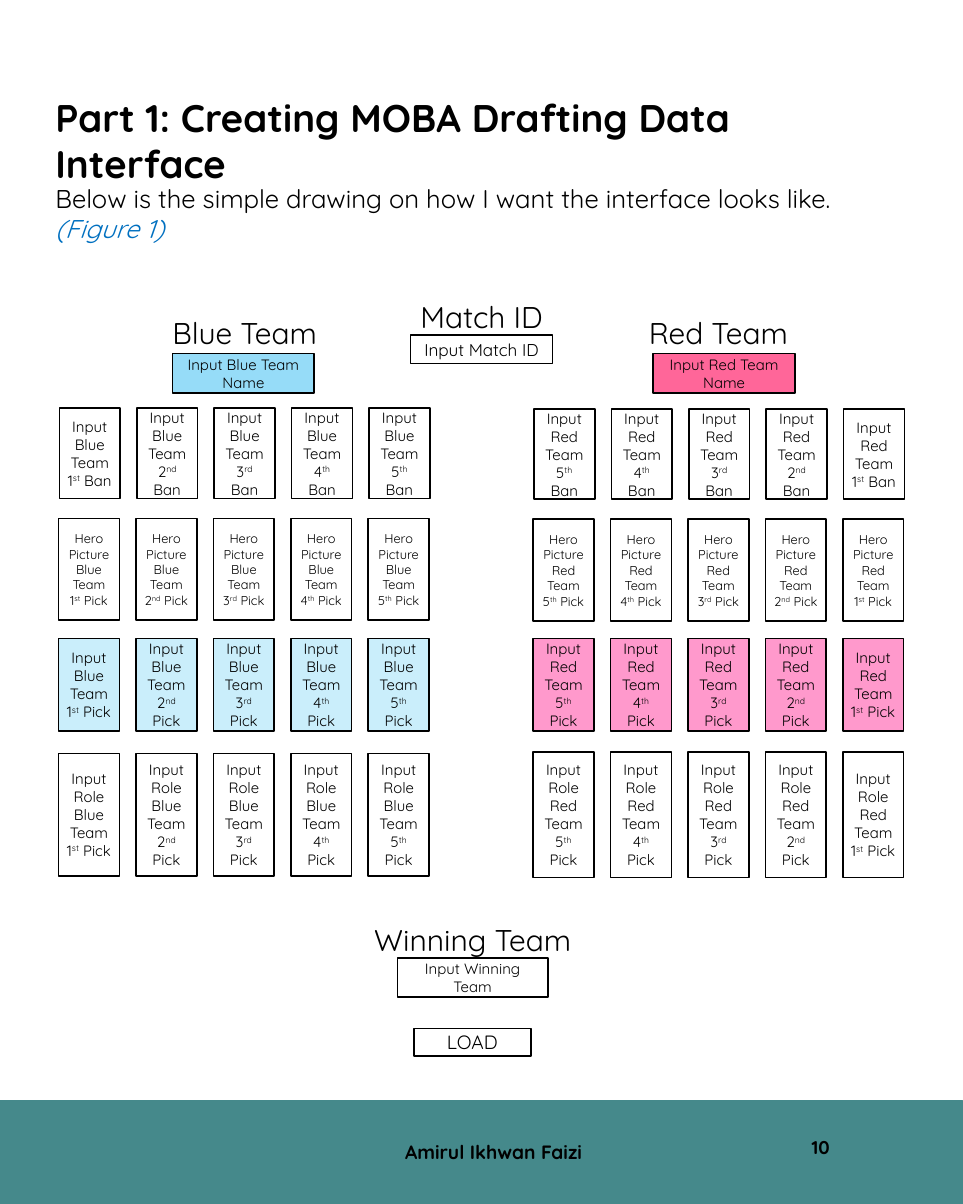
import pptx
import pptx.util
import pptx.dml.color
import pptx.enum.shapes
import pptx.enum.text
from dataclasses import dataclass

RGBColor = pptx.dml.color.RGBColor
Inches = pptx.util.Inches
Pt = pptx.util.Pt
ALIGN = pptx.enum.text.PP_ALIGN
ANCHOR = pptx.enum.text.MSO_ANCHOR

WHITE = RGBColor(0xFF, 0xFF, 0xFF)
BLACK = RGBColor(0x00, 0x00, 0x00)
TEAL = RGBColor(0x45, 0x89, 0x8B)
LINK_BLUE = RGBColor(0x00, 0x70, 0xC0)
BLUE_NAME = RGBColor(0x96, 0xDC, 0xF8)
BLUE_PICK = RGBColor(0xCA, 0xEE, 0xFB)
RED_NAME = RGBColor(0xFF, 0x66, 0x99)
RED_PICK = RGBColor(0xFF, 0x99, 0xCC)

FONT = "Quicksand"
WIDTH, HEIGHT = Inches(12.5), Inches(15.63)
COLUMN, ROW = WIDTH / 100, HEIGHT / 100
CARD_WIDTH, CARD_PITCH = 6.32, 8.04
LABEL_HEIGHT = 3.65
SUFFIXES = {1: "st", 2: "nd", 3: "rd", 4: "th", 5: "th"}


@dataclass
class Box:
    left: float
    top: float
    width: float
    height: float

    def lengths(self):
        return (round(self.left * COLUMN), round(self.top * ROW),
                round(self.width * COLUMN), round(self.height * ROW))


@dataclass
class Span:
    text: str
    color: RGBColor = BLACK
    bold: bool = False
    italic: bool = False
    raised: bool = False


def write(shape, lines, size, align, anchor):
    frame = shape.text_frame
    frame.word_wrap = True
    frame.vertical_anchor = anchor
    for index, spans in enumerate(lines):
        para = frame.add_paragraph() if index else frame.paragraphs[0]
        para.alignment = align
        for span in spans:
            run = para.add_run()
            run.text = span.text
            run.font.name = FONT
            run.font.size = Pt(size)
            run.font.bold = span.bold
            run.font.italic = span.italic
            run.font.color.rgb = span.color
            if span.raised:
                run.font._element.set("baseline", "30000")
    return frame


def add_text(page, box, spans, size, align=ALIGN.LEFT, anchor=ANCHOR.TOP):
    shape = page.shapes.add_textbox(*box.lengths())
    return write(shape, [spans], size, align, anchor)


def add_panel(page, box, fill, line=BLACK, weight=1.5):
    shape = page.shapes.add_shape(
        pptx.enum.shapes.MSO_SHAPE.RECTANGLE, *box.lengths())
    shape.shadow.inherit = False
    shape.fill.solid()
    shape.fill.fore_color.rgb = fill
    shape.line.color.rgb = line
    shape.line.width = Pt(weight)
    return shape


def add_card(page, box, lines, size, fill=WHITE):
    write(add_panel(page, box, fill), lines, size, ALIGN.CENTER, ANCHOR.MIDDLE)


def add_field(page, box, label, label_box, prompt, size, fill=WHITE):
    add_card(page, box, [[Span(prompt)]], size, fill)
    add_text(page, label_box, [Span(label)], 28, ALIGN.CENTER)


def add_card_row(page, box, places, leads, ending, size, fill=WHITE):
    for index, place in enumerate(places):
        card = Box(box.left + index * CARD_PITCH, box.top, CARD_WIDTH, box.height)
        rank = [Span(str(place)), Span(SUFFIXES[place], raised=True),
                Span(" " + ending)]
        lines = [[Span(lead)] for lead in leads] + [rank]
        if len(leads) == 1:
            lines = [[Span(f"{leads[0]} {place}")] + rank[1:]]
        add_card(page, card, lines, size, fill)


def add_team(page, box, team, places, pick_fill, shift, role_rise):
    def row(offset, height, indent=0):
        return Box(box.left + indent, box.top + offset, box.width, height)

    add_card_row(page, row(shift, 7.49, 0.08), places,
                 [f"Input {team} Team"], "Ban", 14)
    add_card_row(page, row(9.15 + shift, 8.45), places,
                 ["Hero Picture", f"{team} Team"], "Pick", 12)
    add_card_row(page, row(19.13, 7.68), places,
                 [f"Input {team} Team"], "Pick", 14, pick_fill)
    add_card_row(page, row(28.66 - role_rise, 10.17 + 2 * role_rise), places,
                 [f"Input Role {team} Team"], "Pick", 14)


def add_footer(page, box):
    add_panel(page, box, TEAL, TEAL, 1)
    number = add_text(page, Box(67.84, box.top + 1.21, 19.44, 5.31),
                      [Span("10", bold=True)], 17.3, ALIGN.RIGHT, ANCHOR.MIDDLE)
    number.margin_left = number.margin_right = Inches(0.14)
    number.margin_top = number.margin_bottom = Inches(0.07)
    add_text(page, Box(41.28, box.top + 2.94, 20.8, 2.56),
             [Span("Amirul Ikhwan Faizi", bold=True)], 18)


def add_heading(page, box):
    add_text(page, Box(box.left, box.top, 88.16, 4.54),
             [Span("Part 1: Creating MOBA Drafting Data Interface", bold=True)], 36)
    add_text(page, Box(box.left, box.top + 7.35, box.width, 5.82),
             [Span("Below is the simple drawing on how I want the interface looks like. "),
              Span("(Figure 1)", color=LINK_BLUE, italic=True)], 24)


def add_names(page, box):
    label_top, name_top = box.top + 1.34, box.top + 4.93
    add_field(page, Box(42.64, box.top + 3.39, 14.72, 2.37), "Match ID",
              Box(41.76, box.top, 16.48, LABEL_HEIGHT), "Input Match ID", 16)
    teams = [("Blue", 17.92, 16.8, BLUE_NAME), ("Red", 67.84, 66, RED_NAME)]
    for team, left, label_left, fill in teams:
        add_field(page, Box(left, name_top, 14.72, 3.26), f"{team} Team",
                  Box(label_left, label_top, 17.2, LABEL_HEIGHT),
                  f"Input {team} Team Name", 14, fill)


def add_result(page, box):
    add_field(page, Box(41.28, box.top + 3.39, 15.6, 3.2), "Winning Team",
              Box(box.left, box.top, box.width, LABEL_HEIGHT),
              "Input Winning Team", 14)
    add_card(page, Box(42.96, box.top + 9.21, 12.16, 2.3), [[Span("LOAD")]], 18)


def main():
    deck = pptx.Presentation()
    deck.slide_width, deck.slide_height = WIDTH, HEIGHT
    page = deck.slides.add_slide(deck.slide_layouts[6])
    page.background.fill.solid()
    page.background.fill.fore_color.rgb = WHITE
    add_footer(page, Box(0, 91.43, 100, 8.57))
    add_heading(page, Box(4.96, 7.49, 88.96, 13.17))
    add_names(page, Box(16.8, 24.44, 66.4, 8.19))
    add_team(page, Box(6.08, 33.91, 38.48, 38.83), "Blue", range(1, 6),
             BLUE_PICK, 0, 0)
    add_team(page, Box(55.36, 33.91, 38.48, 38.83), "Red", range(5, 0, -1),
             RED_PICK, 0.06, 0.13)
    add_result(page, Box(37.36, 76.2, 23.44, 11.51))
    deck.save("out.pptx")


if __name__ == "__main__":
    main()
